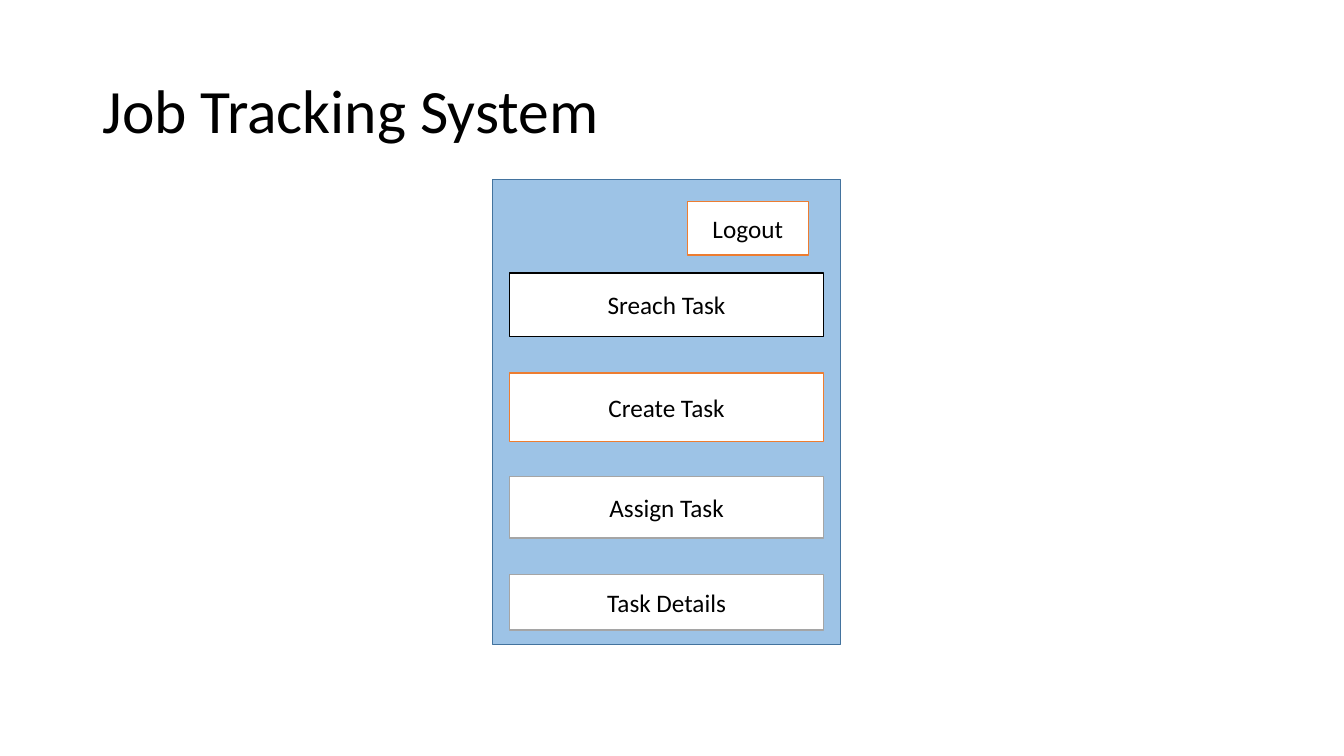
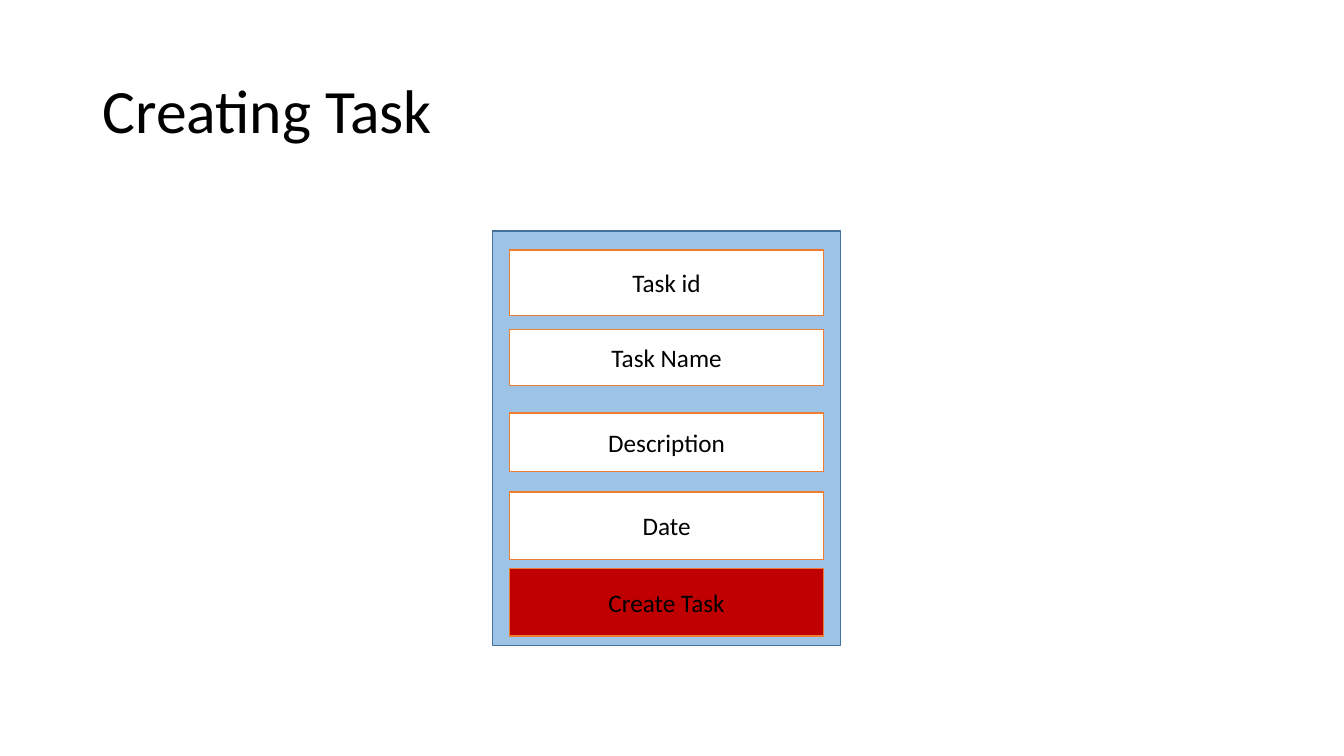
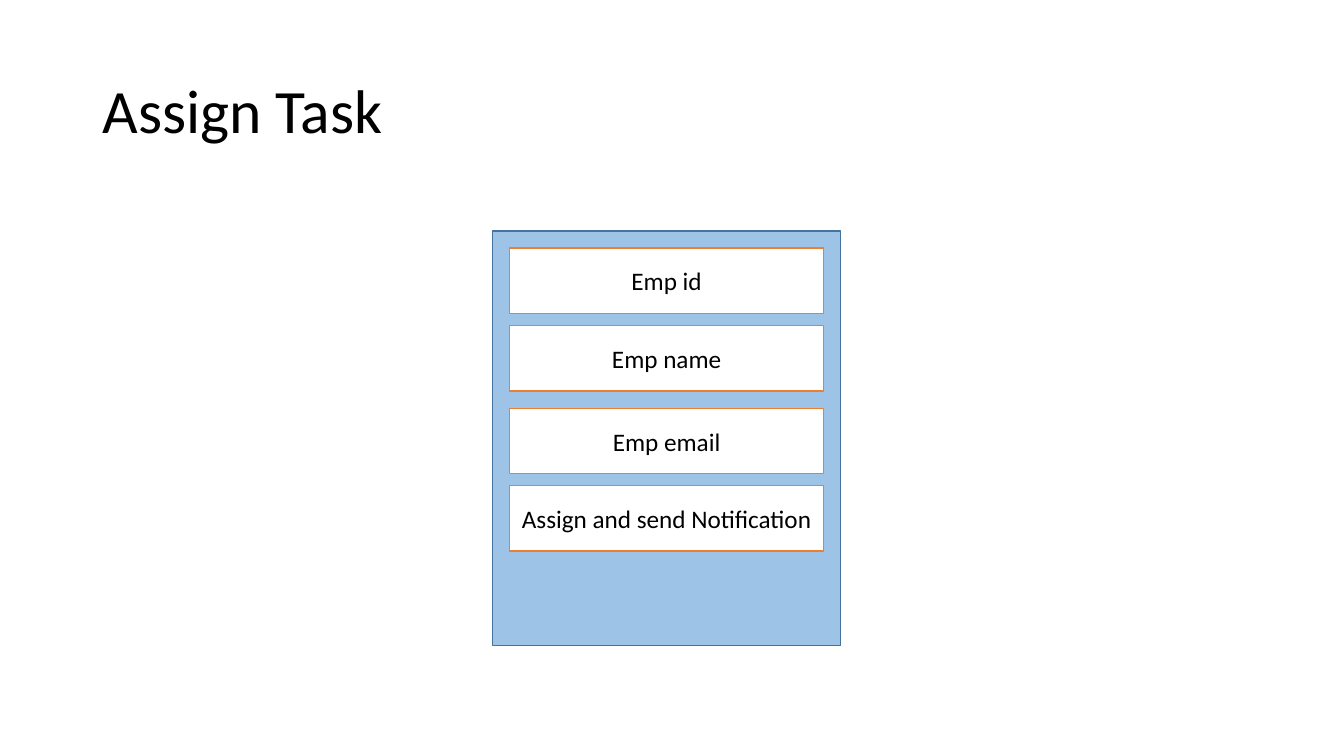
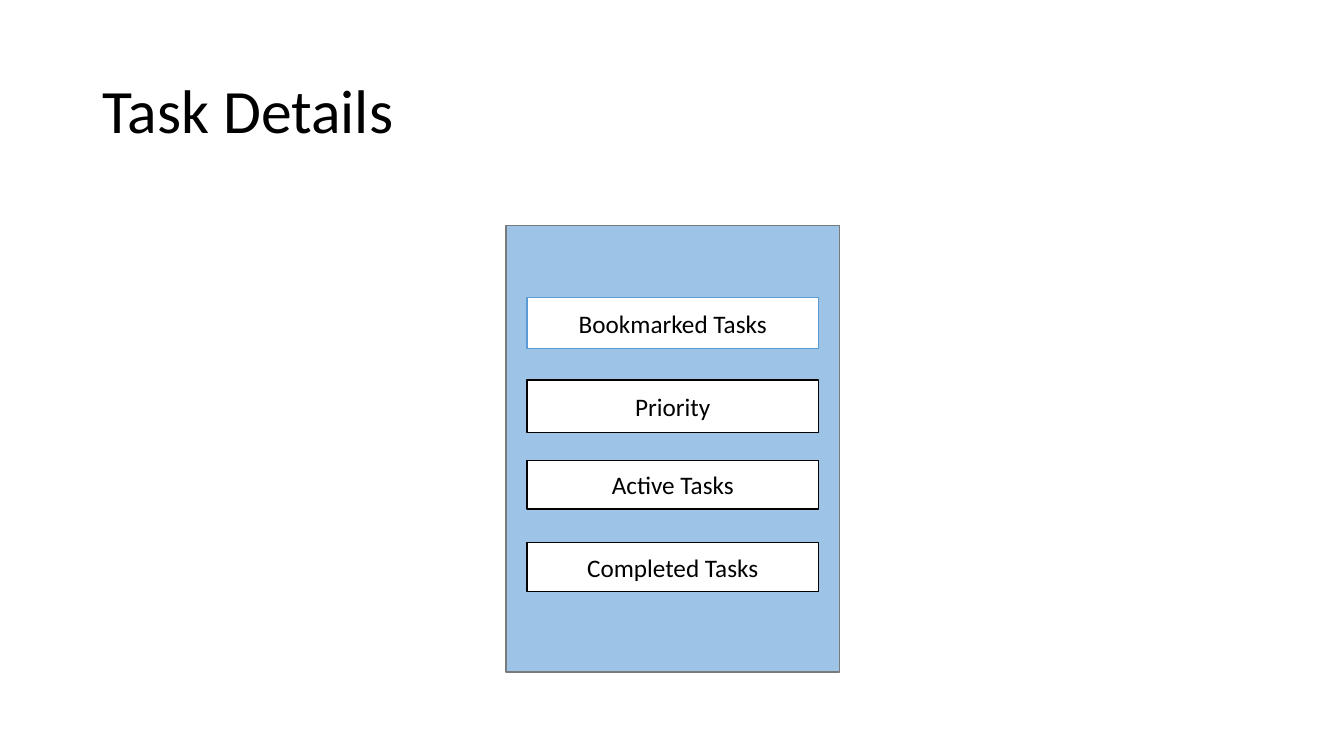
import pptx
import pptx.dml.color
import pptx.enum.shapes
import pptx.enum.text
import pptx.util

Cm = pptx.util.Cm
Pt = pptx.util.Pt
SHAPE = pptx.enum.shapes.MSO_SHAPE
ALIGN = pptx.enum.text.PP_ALIGN
ANCHOR = pptx.enum.text.MSO_ANCHOR

COLORS = {
    "black": "000000", "white": "FFFFFF", "panel": "9DC3E6",
    "navy": "43739E", "orange": "ED7D31", "gray": "A5A5A5",
    "dark_gray": "7A7A7A", "blue": "5B9BD5", "red": "C00000",
}
FONT = "Calibri"
TITLE_BOX = (2.33, 1.02, 29.21, 3.68)
FORM_PANEL = (12.42, 5.82, 8.76, 10.44)
LOGOUT_BOX = (17.32, 5.08, 3.05, 1.35)

# Panels are (left, top, width, height) in cm.
# Rows are (text, top, height, fill, line); each is centred in its panel.
SCREENS = [
    {"title": "Job Tracking System", "panel": (12.42, 4.52, 8.76, 11.73),
     "panel_line": "navy", "row_width": 7.92, "logout": "Logout",
     "rows": [("Sreach Task", 6.88, 1.6, "white", "black"),
              ("Create Task", 9.4, 1.73, "white", "orange"),
              ("Assign Task", 12.01, 1.55, "white", "gray"),
              ("Task Details", 14.48, 1.4, "white", "gray")]},
    {"title": "Creating Task", "panel": FORM_PANEL,
     "panel_line": "navy", "row_width": 7.92,
     "rows": [("Task id", 6.3, 1.65, "white", "orange"),
              ("Task Name", 8.31, 1.4, "white", "orange"),
              ("Description", 10.41, 1.47, "white", "orange"),
              ("Date", 12.4, 1.7, "white", "orange"),
              ("Create Task", 14.33, 1.7, "red", "orange")]},
    {"title": "Assign Task", "panel": FORM_PANEL,
     "panel_line": "navy", "row_width": 7.92,
     "rows": [("Emp id", 6.25, 1.65, "white", "orange"),
              ("Emp name", 8.2, 1.65, "white", "orange"),
              ("Emp email", 10.29, 1.65, "white", "orange"),
              ("Assign and send Notification", 12.24, 1.65, "white", "orange")]},
    {"title": "Task Details", "panel": (12.75, 5.69, 8.41, 11.25),
     "panel_line": "dark_gray", "row_width": 7.34,
     "rows": [("Bookmarked Tasks", 7.49, 1.3, "white", "blue"),
              ("Priority", 9.58, 1.32, "white", "black"),
              ("Active Tasks", 11.61, 1.22, "white", "black"),
              ("Completed Tasks", 13.67, 1.24, "white", "black")]},
]


def rgb(name):
    """Return the named colour as an RGBColor."""
    return pptx.dml.color.RGBColor.from_string(COLORS[name])


def set_text(sp, text, size, align):
    """Write one line of black text, anchored in the middle of a shape."""
    tf = sp.text_frame
    tf.text = text
    tf.word_wrap = True
    tf.vertical_anchor = ANCHOR.MIDDLE
    p = tf.paragraphs[0]
    p.alignment = align
    r = p.runs[0]
    r.font.name = FONT
    r.font.size = Pt(size)
    r.font.color.rgb = rgb("black")


def add_title(s, text):
    """Place and format the title placeholder."""
    sp = s.shapes.title
    sp.left, sp.top, sp.width, sp.height = map(Cm, TITLE_BOX)
    set_text(sp, text, 44, ALIGN.LEFT)
    sp.text_frame.paragraphs[0].line_spacing = 0.9


def add_box(s, kind, box, fill, line, text=None):
    """Add a filled, outlined shape with optional centred text."""
    sp = s.shapes.add_shape(kind, *map(Cm, box))
    sp.shadow.inherit = False
    sp.fill.solid()
    sp.fill.fore_color.rgb = rgb(fill)
    sp.line.color.rgb = rgb(line)
    sp.line.width = Pt(1)
    if text:
        set_text(sp, text, 18, ALIGN.CENTER)


def add_screen(prs, screen):
    """Add a slide with a title and one app screen of stacked rows."""
    s = prs.slides.add_slide(prs.slide_layouts[5])
    add_title(s, screen["title"])
    add_box(s, SHAPE.RECTANGLE, screen["panel"], "panel", screen["panel_line"])
    panel_left, _, panel_width, _ = screen["panel"]
    row_width = screen["row_width"]
    row_left = panel_left + (panel_width - row_width) / 2
    for text, top, height, fill, line in screen["rows"]:
        add_box(s, SHAPE.FLOWCHART_PROCESS, (row_left, top, row_width, height),
                fill, line, text)
    if "logout" in screen:
        add_box(s, SHAPE.FLOWCHART_PROCESS, LOGOUT_BOX, "white", "orange",
                screen["logout"])


prs = pptx.Presentation()
prs.slide_width, prs.slide_height = Cm(33.87), Cm(19.05)
for screen in SCREENS:
    add_screen(prs, screen)
prs.save("out.pptx")
